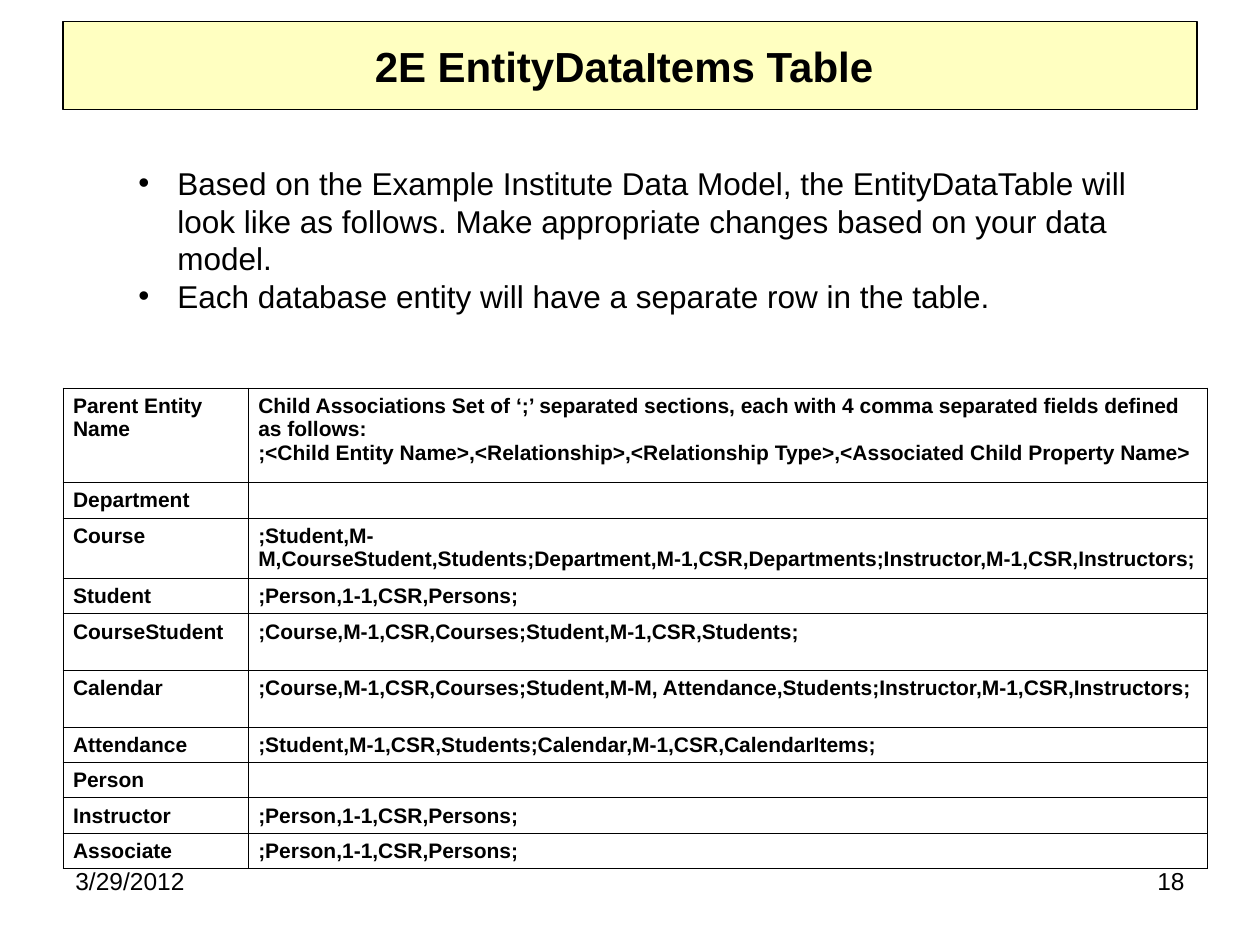
import pptx
import pptx.util
import pptx.dml.color
import pptx.enum.text
import pptx.oxml.ns
import lxml.etree

BLACK = pptx.dml.color.RGBColor(0, 0, 0)
CREAM = pptx.dml.color.RGBColor(0xFF, 0xFF, 0x99)
ALIGN = pptx.enum.text.PP_ALIGN
MIDDLE = pptx.enum.text.MSO_ANCHOR.MIDDLE
inch = pptx.util.Inches
WIDE, HIGH = inch(10), inch(7.5)
EDGE = 0.05  # share of the slide's width

COLS = (1.47, 7.61)
LOW, MID, TALL = 0.22, 0.45, 0.75
ROWS = (
    (TALL, "Parent Entity Name",
     "Child Associations Set of ‘;’ separated sections, each with 4 comma "
     "separated fields defined as follows:\n"
     ";<Child Entity Name>,<Relationship>,<Relationship Type>,"
     "<Associated Child Property Name>"),
    (LOW, "Department", ""),
    (MID, "Course",
     ";Student,M-M,CourseStudent,Students;Department,M-1,CSR,Departments;"
     "Instructor,M-1,CSR,Instructors;"),
    (LOW, "Student", ";Person,1-1,CSR,Persons;"),
    (MID, "CourseStudent", ";Course,M-1,CSR,Courses;Student,M-1,CSR,Students;"),
    (MID, "Calendar",
     ";Course,M-1,CSR,Courses;Student,M-M, Attendance,Students;"
     "Instructor,M-1,CSR,Instructors;"),
    (LOW, "Attendance",
     ";Student,M-1,CSR,Students;Calendar,M-1,CSR,CalendarItems;"),
    (LOW, "Person", ""),
    (LOW, "Instructor", ";Person,1-1,CSR,Persons;"),
    (LOW, "Associate", ";Person,1-1,CSR,Persons;"),
)
POINTS = (
    "Based on the Example Institute Data Model, the EntityDataTable will look "
    "like as follows. Make appropriate changes based on your data model.\n"
    "Each database entity will have a separate row in the table."
)


def add(parent, tag, **attrs):
    """Append a drawing element to an XML parent."""
    return lxml.etree.SubElement(parent, pptx.oxml.ns.qn("a:" + tag), **attrs)


def add_bullet(para):
    props = para._p.get_or_add_pPr()
    props.set("marL", str(inch(0.81)))
    props.set("indent", str(inch(-0.31)))
    add(add(props, "buClr"), "srgbClr", val=str(BLACK))
    add(props, "buFont", typeface="Arial")
    add(props, "buChar", char="•")


def write(frame, text, size=12, bold=False, align=ALIGN.LEFT, bullet=False):
    """Fill a text frame, one paragraph for each line."""
    frame.word_wrap = True
    frame.text = text
    for para in frame.paragraphs:
        para.alignment = align
        if bullet:
            para.level = 1
            add_bullet(para)
        for run in para.runs:
            font = run.font
            font.name, font.size, font.bold = "Arial", pptx.util.Pt(size), bold
            font.color.rgb = BLACK
        if not para.runs:
            add(para._p, "endParaRPr", sz=str(size * 100))


def add_title(slide, text):
    title = slide.shapes.title
    title.left, title.top = int(WIDE * EDGE), inch(0.17)
    title.width, title.height = int(WIDE * (1 - 2 * EDGE)), inch(0.7)
    title.fill.solid()
    title.fill.fore_color.rgb = CREAM
    tint = title.fill._xPr.find(".//" + pptx.oxml.ns.qn("a:srgbClr"))
    add(tint, "alpha", val="60000")
    title.line.color.rgb = BLACK
    title.line.width = pptx.util.Pt(0.75)
    title.text_frame.vertical_anchor = MIDDLE
    write(title.text_frame, text, size=24, bold=True, align=ALIGN.CENTER)


def add_text(slide, left, top, width, height, text, **style):
    """Add a text box placed by shares of the slide's size."""
    box = slide.shapes.add_textbox(int(WIDE * left), int(HIGH * top),
                                   int(WIDE * width), int(HIGH * height))
    write(box.text_frame, text, **style)


def add_rules(cell):
    props = cell._tc.get_or_add_tcPr()
    for side in ("lnL", "lnR", "lnT", "lnB"):
        line = add(props, side, w=str(pptx.util.Pt(0.45)))
        add(add(line, "solidFill"), "srgbClr", val=str(BLACK))


def add_grid(slide):
    high = sum(row[0] for row in ROWS)
    grid = slide.shapes.add_table(
        len(ROWS), len(COLS), int(WIDE * EDGE), inch(3.08),
        inch(sum(COLS)), inch(high)).table
    grid.first_row = grid.horz_banding = False
    for col, width in zip(grid.columns, COLS):
        col.width = inch(width)
    for line, (height, *texts) in zip(grid.rows, ROWS):
        line.height = inch(height)
        for cell, text in zip(line.cells, texts):
            cell.margin_left = cell.margin_right = inch(0.08)
            cell.margin_top, cell.margin_bottom = inch(0.05), inch(0.03)
            add_rules(cell)
            cell.fill.background()
            write(cell.text_frame, text, bold=True)


def main():
    deck = pptx.Presentation()
    deck.slide_width, deck.slide_height = WIDE, HIGH
    slide = deck.slides.add_slide(deck.slide_layouts[5])
    add_title(slide, "2E EntityDataItems Table ")
    foot = 0.23
    add_text(slide, EDGE, 0.91, foot, 0.07, "3/29/2012", size=14)
    add_text(slide, 1 - EDGE - foot, 0.91, foot, 0.07, "18", size=14,
             align=ALIGN.RIGHT)
    add_grid(slide)
    add_text(slide, EDGE, 1 / 6, 0.89, 0.17, POINTS, size=18, bullet=True)
    deck.save("out.pptx")


if __name__ == "__main__":
    main()
